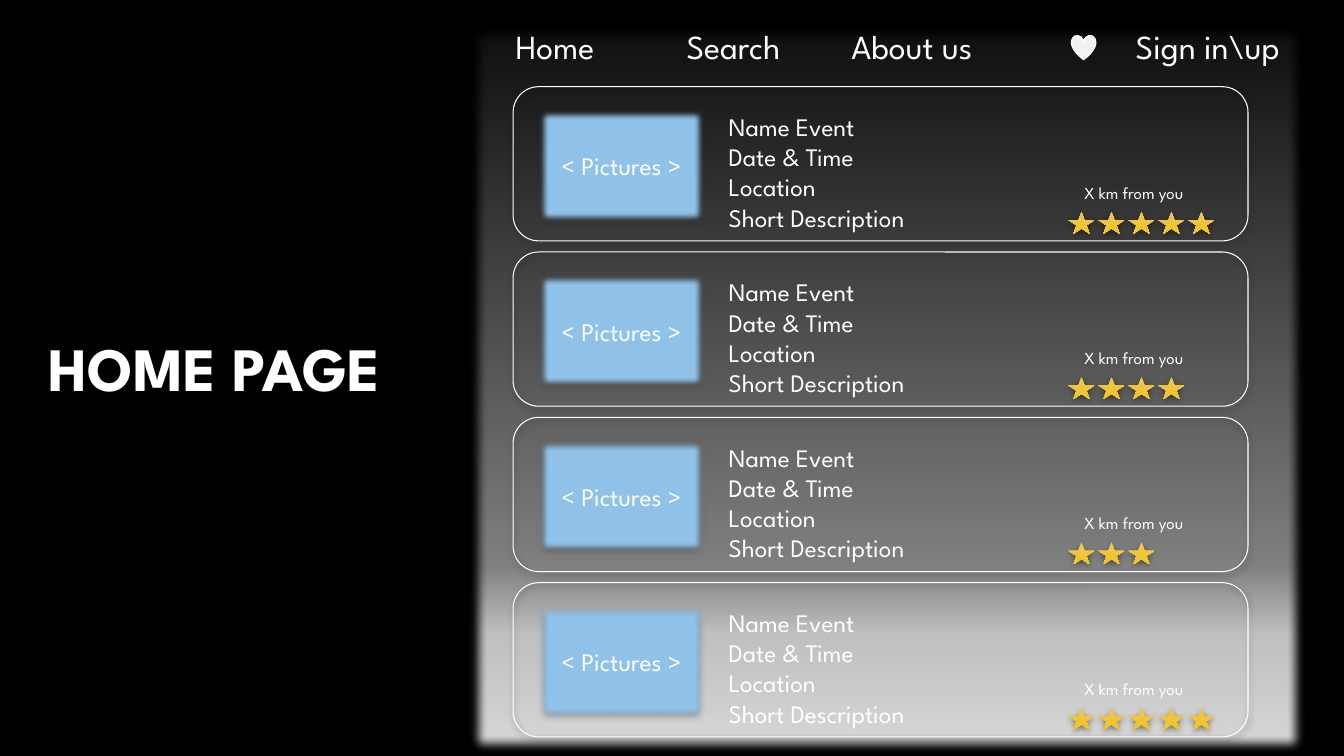
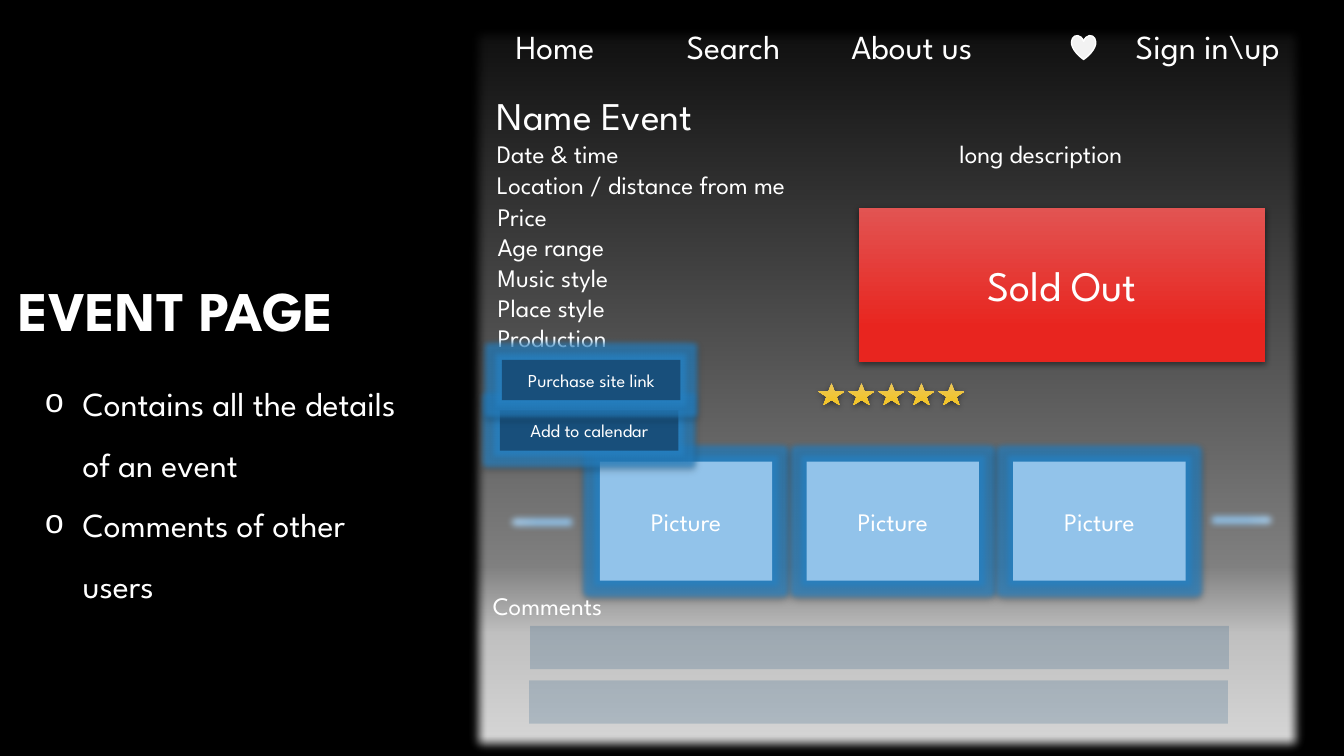
from dataclasses import dataclass, field
from typing import Any, Optional, Sequence

from lxml.etree import SubElement
from pptx import Presentation
from pptx.dml.color import RGBColor
from pptx.enum.shapes import MSO_SHAPE as Preset
from pptx.enum.text import MSO_ANCHOR as Anchor, MSO_AUTO_SIZE as AutoSize, PP_ALIGN as Align
from pptx.oxml.ns import qn
from pptx.util import Emu, Inches, Pt


@dataclass(frozen=True)
class Paint:
    stops: tuple[tuple[int, str], ...]
    angle: int = 90
    opacity: int = 100


@dataclass(frozen=True)
class Shadow:
    opacity: int
    blur: float
    distance: float


@dataclass(frozen=True)
class Look:
    fill: Optional[Paint] = None
    line: Optional[str] = None
    line_width: float = 0.75
    glow: float = 0
    shadow: Optional[Shadow] = None
    soft_edge: float = 0


@dataclass(frozen=True)
class Box:
    left: float
    top: float
    width: float
    height: float

    def moved(self, right: float = 0, down: float = 0) -> "Box":
        return Box(self.left + right, self.top + down, self.width, self.height)

    def emu(self) -> dict[str, Emu]:
        return {
            "left": Emu(round(SLIDE_WIDTH * self.left / 100)),
            "top": Emu(round(SLIDE_HEIGHT * self.top / 100)),
            "width": Emu(round(SLIDE_WIDTH * self.width / 100)),
            "height": Emu(round(SLIDE_HEIGHT * self.height / 100)),
        }


@dataclass(frozen=True)
class Label:
    text: str
    box: Box


@dataclass(frozen=True)
class Theme:
    font: str = "League Spartan"
    bullet_font: str = "Courier New"
    ink: str = "FFFFFF"
    page: str = "000000"
    glow: str = "2683C6"
    sizes: dict[str, int] = field(default_factory=lambda: {
        "home": 44, "event": 40, "banner": 30, "name": 28,
        "nav": 24, "text": 18, "button": 13, "note": 12,
    })


SLIDE_WIDTH, SLIDE_HEIGHT = Inches(13.333), Inches(7.5)
THEME = Theme()
SIZE = THEME.sizes

SKY = Paint(((0, "92C3EA"),))
NAVY = Paint(((0, "184F7B"),))
LIFTED = Shadow(48, 4.5, 1.5)
RESTING = Shadow(32, 3.5, 2.2)

PANEL = Look(Paint(((0, "0D0D0D"), (74, "808080"), (83, "BFBFBF"), (100, "D9D9D9"))),
             soft_edge=8.86)
HEART = Look(Paint(((0, "F2F2F2"),)), line="FFFFFF", line_width=1)
CARD = Look(line="FFFFFF", shadow=LIFTED)
STAR = Look(Paint(((0, "EBC659"), (78, "F2C42C"))), shadow=LIFTED)
THUMBNAIL = Look(SKY, shadow=RESTING, soft_edge=5)
GALLERY = Look(SKY, shadow=RESTING, glow=8)
BUTTON = Look(NAVY, shadow=RESTING, glow=8)
ARROW = Look(Paint(((52, "92C3EA"), (100, "B7D7F1")), angle=0), line="DF2E28", soft_edge=5)
COMMENT = Look(Paint(((0, "184F7B"),), opacity=20))
SOLD_OUT = Look(Paint(((0, "E25452"), (78, "E8251F"))), shadow=LIFTED)

PANEL_BOX = Box(34.65, 2.8, 62.78, 97.47)
NAV_BOX = Box(34.65, 2.8, 13.28, 6.67)
NAV = [Label(text, NAV_BOX.moved(i * NAV_BOX.width))
       for i, text in enumerate(("Home", "Search", "About us"))]
NAV.append(Label("Sign in\\up", Box(82.28, 2.8, 15.15, 6.67)))
HEART_BOX = Box(79.73, 4.67, 1.8, 3.2)

CARD_BOX = Box(38.18, 11.47, 54.68, 20.4)
CARD_PITCH = 21.87
THUMBNAIL_BOX = Box(39.83, 14.07, 12.83, 15.73)
DETAILS_BOX = Box(53.48, 14.07, 28.28, 17.47)
DISTANCE_BOX = Box(79.95, 23.47, 10.28, 4)
RATING_BOX = Box(79.5, 28, 1.95, 2.93)
STAR_PITCH = 2.23
RATINGS = (5, 4, 3, 5)
DETAILS = ("Name Event", "Date & Time", "Location", "Short Description")

FACTS = ("Price", "Age range", "Music style", "Place style", "Production")
PURPOSES = ("Contains all the details of an event", "Comments of other users")
BUTTONS = (
    Label("Add to calendar", Box(37.2, 54.27, 13.28, 5.33)),
    Label("Purchase site link", Box(37.35, 47.6, 13.28, 5.33)),
)
GALLERY_BOX = Box(44.63, 61.07, 12.83, 15.73)
GALLERY_PITCH = 15.38
ARROWS = ((Box(89.7, 66.13, 5.93, 5.33), 0), (Box(37.05, 66.4, 5.93, 5.33), 180))
COMMENT_BOXES = (Box(39.45, 82.8, 51.98, 5.73), Box(39.38, 90, 51.98, 5.73))


def assign(target: Any, values: dict[str, Any]) -> None:
    for key, value in values.items():
        setattr(target, key, value)


def add_color(parent: Any, color: str, opacity: int = 100) -> None:
    tint = SubElement(parent, qn("a:srgbClr"), val=color)
    if opacity < 100:
        SubElement(tint, qn("a:alpha"), val=str(opacity * 1000))


def paint(shape: Any, coat: Optional[Paint]) -> None:
    if coat is None:
        shape.fill.background()
        return
    if len(coat.stops) == 1:
        shape.fill.solid()
        solid = shape.element.spPr.find(qn("a:solidFill"))
        solid.clear()
        add_color(solid, coat.stops[0][1], coat.opacity)
        return
    shape.fill.gradient()
    gradient = shape.element.spPr.find(qn("a:gradFill"))
    gradient.clear()
    stops = SubElement(gradient, qn("a:gsLst"))
    for position, color in coat.stops:
        add_color(SubElement(stops, qn("a:gs"), pos=str(position * 1000)), color)
    SubElement(gradient, qn("a:lin"), ang=str(coat.angle * 60000), scaled="0")


def add_effects(shape: Any, look: Look) -> None:
    shape.shadow.inherit = False
    effects = shape.element.spPr.find(qn("a:effectLst"))
    if look.glow:
        add_color(SubElement(effects, qn("a:glow"), rad=str(Pt(look.glow))), THEME.glow, 70)
    if look.shadow:
        cast = SubElement(effects, qn("a:outerShdw"), blurRad=str(Pt(look.shadow.blur)),
                          dist=str(Pt(look.shadow.distance)), dir="5400000", rotWithShape="0")
        add_color(cast, "000000", look.shadow.opacity)
    if look.soft_edge:
        SubElement(effects, qn("a:softEdge"), rad=str(Pt(look.soft_edge)))


def write(frame: Any, lines: Sequence[str], sizes: Sequence[int],
          align: Align = Align.LEFT, spacing: float = 1, bold: bool = False) -> None:
    frame.word_wrap = True
    for i, line in enumerate(lines):
        paragraph = frame.paragraphs[0] if i == 0 else frame.add_paragraph()
        assign(paragraph, {"alignment": align, "line_spacing": spacing,
                           "space_before": Pt(0), "space_after": Pt(0)})
        run = paragraph.add_run()
        run.text = line
        size = sizes[min(i, len(sizes) - 1)]
        assign(run.font, {"name": THEME.font, "size": Pt(size), "bold": bold})
        run.font.color.rgb = RGBColor.from_string(THEME.ink)


def add_figure(shapes: Any, preset: Preset, box: Box, look: Look,
               text: str = "", size: int = 0) -> Any:
    figure = shapes.add_shape(preset, **box.emu())
    paint(figure, look.fill)
    if look.line:
        figure.line.color.rgb = RGBColor.from_string(look.line)
        figure.line.width = Pt(look.line_width)
    else:
        figure.line.fill.background()
    add_effects(figure, look)
    if text:
        write(figure.text_frame, [text], [size], Align.CENTER)
        figure.text_frame.vertical_anchor = Anchor.MIDDLE
    return figure


def add_text(shapes: Any, box: Box, lines: Sequence[str], *sizes: int,
             align: Align = Align.LEFT) -> None:
    caption = shapes.add_textbox(**box.emu())
    write(caption.text_frame, lines, sizes, align)
    caption.text_frame.auto_size = AutoSize.SHAPE_TO_FIT_TEXT


def add_rating(shapes: Any, first: Box, count: int) -> None:
    for i in range(count):
        add_figure(shapes, Preset.STAR_5_POINT, first.moved(i * STAR_PITCH), STAR)


def add_page(deck: Any, layout: int, title: str, size: int, box: Box) -> Any:
    page = deck.slides.add_slide(deck.slide_layouts[layout])
    heading = page.shapes.title
    assign(heading, box.emu())
    write(heading.text_frame, [title], [size], spacing=0.9, bold=True)
    assign(heading.text_frame, {"vertical_anchor": Anchor.MIDDLE, "auto_size": AutoSize.NONE})
    add_figure(page.shapes, Preset.RECTANGLE, PANEL_BOX, PANEL)
    for link in NAV:
        add_text(page.shapes, link.box, [link.text], SIZE["nav"], align=Align.CENTER)
    add_figure(page.shapes, Preset.HEART, HEART_BOX, HEART)
    return page


def add_event_card(page: Any, down: float, rating: int) -> None:
    card = page.shapes.add_group_shape().shapes
    add_figure(card, Preset.ROUNDED_RECTANGLE, CARD_BOX.moved(down=down), CARD)
    add_figure(card, Preset.RECTANGLE, THUMBNAIL_BOX.moved(down=down), THUMBNAIL,
               "< Pictures >", SIZE["text"])
    add_text(card, DETAILS_BOX.moved(down=down), DETAILS, SIZE["text"])
    add_rating(card, RATING_BOX.moved(down=down), rating)
    add_text(card, DISTANCE_BOX.moved(down=down), ["X km from you"], SIZE["note"])


def add_purposes(page: Any, box: Box) -> None:
    purposes = page.placeholders[1]
    assign(purposes, box.emu())
    write(purposes.text_frame, PURPOSES, [SIZE["nav"]], spacing=1.5)
    purposes.text_frame.auto_size = AutoSize.NONE
    for paragraph in purposes.text_frame.paragraphs:
        properties = paragraph._p.get_or_add_pPr()
        properties.set("marL", str(Inches(0.38)))
        properties.set("indent", str(-Inches(0.38)))
        SubElement(properties, qn("a:buFont"), typeface=THEME.bullet_font)
        SubElement(properties, qn("a:buChar"), char="o")


def build_home(deck: Any) -> None:
    page = add_page(deck, 5, "HOME PAGE", SIZE["home"], Box(2.85, 39.73, 70.65, 18.8))
    for i, rating in enumerate(RATINGS):
        add_event_card(page, i * CARD_PITCH, rating)


def build_event(deck: Any) -> None:
    page = add_page(deck, 1, "EVENT PAGE", SIZE["event"], Box(0.6, 32, 70.65, 18.8))
    shapes = page.shapes
    add_purposes(page, Box(2.55, 47.33, 29.63, 40.67))
    add_text(shapes, Box(36.3, 26, 15, 25.6), FACTS, SIZE["text"])
    add_text(shapes, Box(36.23, 11.47, 28.5, 15.73),
             ("Name Event", "Date & time", "Location / distance from me"),
             SIZE["name"], SIZE["text"])
    add_text(shapes, Box(70.65, 17.6, 20.85, 5.33), ["long description"], SIZE["text"])
    add_rating(shapes, Box(60.9, 50.67, 1.95, 2.93), 5)
    for i in range(3):
        add_figure(shapes, Preset.RECTANGLE, GALLERY_BOX.moved(i * GALLERY_PITCH), GALLERY,
                   "Picture", SIZE["text"])
    for box, turn in ARROWS:
        add_figure(shapes, Preset.RIGHT_ARROW, box, ARROW).rotation = turn
    add_text(shapes, Box(35.93, 77.47, 14.55, 5.33), ["Comments"], SIZE["text"])
    for box in COMMENT_BOXES:
        add_figure(shapes, Preset.ACTION_BUTTON_CUSTOM, box, COMMENT)
    add_figure(shapes, Preset.ACTION_BUTTON_CUSTOM, Box(63.9, 27.47, 30.23, 20.4), SOLD_OUT,
               "Sold Out", SIZE["banner"])
    for button in BUTTONS:
        add_figure(shapes, Preset.RECTANGLE, button.box, BUTTON, button.text, SIZE["button"])


deck = Presentation()
assign(deck, {"slide_width": SLIDE_WIDTH, "slide_height": SLIDE_HEIGHT})
backdrop = deck.slide_master.background.fill
backdrop.solid()
backdrop.fore_color.rgb = RGBColor.from_string(THEME.page)
build_home(deck)
build_event(deck)
deck.save("out.pptx")
